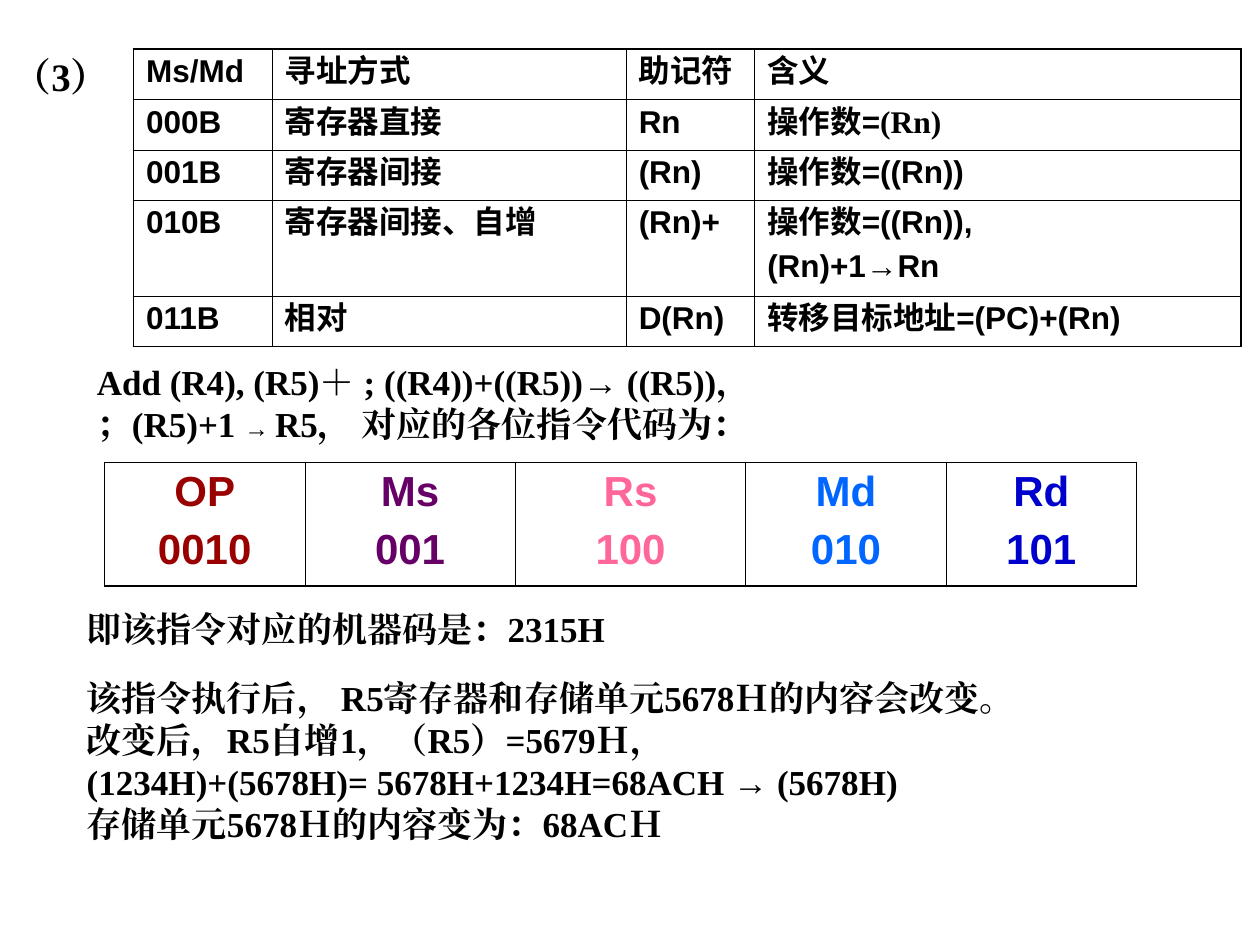
from dataclasses import dataclass

from lxml import etree
from pptx import Presentation
from pptx import util as u
from pptx.dml.color import RGBColor
from pptx.enum import text
from pptx.oxml.ns import qn


@dataclass(frozen=True)
class Theme:
    serif: str = "Times New Roman"
    sans: str = "Arial"
    ink: str = "000000"
    paper: str = "FFFFFF"
    fields: tuple = ("990000", "660066", "FF6699", "0066FF", "0000CC")
    number_size: float = 22.2
    body_size: float = 20
    arrow_size: float = 14
    table_size: float = 18
    code_size: float = 24
    thick: float = 1.08
    thin: float = 0.45


def add_text(p, value, *, font, size, color):
    """Append one bold run to a paragraph."""
    r = p.add_run()
    r.text = value
    r.font.name, r.font.size, r.font.bold = font, u.Pt(size), True
    r.font.color.rgb = RGBColor.from_string(color)
    for tag in ("a:ea", "a:cs"):
        etree.SubElement(r._r.get_or_add_rPr(), qn(tag), typeface=font)


class Builder:
    def __init__(self, s, theme):
        self.s, self.t = s, theme

    def fill_frame(self, tf, paragraphs, before=0, align=None, **fmt):
        """Each paragraph is a string or a list of (string, overrides)."""
        for i, runs in enumerate(paragraphs):
            p = tf.add_paragraph() if i else tf.paragraphs[0]
            p.space_before = u.Pt(before if i else 0)
            p.alignment = align
            for value, extra in [(runs, {})] if isinstance(runs, str) else runs:
                add_text(p, value, **{**fmt, "color": self.t.ink, **fmt, **extra})

    def body(self, x, y, w, h, value):
        sp = self.s.placeholders[1]
        sp.left, sp.top, sp.width, sp.height = map(u.Inches, (x, y, w, h))
        p = sp.text_frame.paragraphs[0]
        pPr = p._p.get_or_add_pPr()
        pPr.set("marL", str(u.Inches(0.38)))
        pPr.set("indent", str(-u.Inches(0.38)))
        etree.SubElement(pPr, qn("a:buNone"))
        p.line_spacing = 0.8
        sp.text_frame.auto_size = text.MSO_AUTO_SIZE.NONE
        self.fill_frame(sp.text_frame, [value], font=self.t.serif, size=self.t.number_size)

    def note(self, x, y, w, h, paragraphs):
        tf = self.s.shapes.add_textbox(*map(u.Inches, (x, y, w, h))).text_frame
        tf.word_wrap = True
        tf.auto_size = text.MSO_AUTO_SIZE.SHAPE_TO_FIT_TEXT
        self.fill_frame(tf, paragraphs, font=self.t.serif, size=self.t.body_size)

    def borders(self, cell, outer):
        """Thick lines on outer sides, thin ones inside."""
        tcPr = cell._tc.get_or_add_tcPr()
        for i, side in enumerate("LRTB"):
            width = self.t.thick if side in outer else self.t.thin
            ln = etree.Element(qn(f"a:ln{side}"), w=str(u.Pt(width)))
            fill = etree.SubElement(ln, qn("a:solidFill"))
            etree.SubElement(fill, qn("a:srgbClr"), val=self.t.ink)
            tcPr.insert(i, ln)

    def table(self, x, y, cols, heights, rows, margins=(0.05, 0.05), colors=None, **fmt):
        size = sum(cols), sum(heights)
        tbl = self.s.shapes.add_table(
            len(rows), len(cols), *map(u.Inches, (x, y, *size))).table
        tbl.first_row = tbl.horz_banding = False
        for col, w in zip(tbl.columns, cols):
            col.width = u.Inches(w)
        for i, (row, h) in enumerate(zip(rows, heights)):
            tbl.rows[i].height = u.Inches(h)
            for j, paragraphs in enumerate(row):
                cell = tbl.cell(i, j)
                cell.margin_top, cell.margin_bottom = map(u.Inches, margins)
                cell.fill.solid()
                cell.fill.fore_color.rgb = RGBColor.from_string(self.t.paper)
                edges = {"L": j == 0, "R": j == len(cols) - 1,
                         "T": i == 0, "B": i == len(rows) - 1}
                self.borders(cell, [k for k, on in edges.items() if on])
                color = colors[j] if colors else self.t.ink
                self.fill_frame(cell.text_frame, paragraphs,
                                font=self.t.sans, color=color, **fmt)


def main():
    theme = Theme()
    prs = Presentation()
    prs.slide_width, prs.slide_height = u.Inches(10), u.Inches(7.5)
    s = prs.slides.add_slide(prs.slide_layouts[1])
    title = s.shapes.title._element
    title.getparent().remove(title)
    b = Builder(s, theme)

    # Item number
    b.body(0, 0.44, 1.18, 0.47, "（3）")

    # Instruction code fields
    fields = [("OP", "0010"), ("Ms", "001"), ("Rs", "100"), ("Md", "010"), ("Rd", "101")]
    b.table(0.83, 3.67, [1.59, 1.67, 1.83, 1.59, 1.51], [0.98], [fields],
            colors=theme.fields, size=theme.code_size, before=6,
            align=text.PP_ALIGN.CENTER)

    # Instruction and its explanation
    b.note(0.67, 2.81, 8.9, 0.77, [
        "Add (R4), (R5)＋ ; ((R4))+((R5))→ ((R5))，",
        [("；(R5)+1 ", {}), ("→ ", {"size": theme.arrow_size}),
         ("R5， 对应的各位指令代码为：", {})],
    ])
    b.note(0.59, 4.77, 8.9, 0.44, ["即该指令对应的机器码是：2315H"])
    b.note(0.59, 5.32, 8.9, 1.44, [
        "该指令执行后， R5寄存器和存储单元5678Ｈ的内容会改变。",
        "改变后，R5自增1，（R5）=5679Ｈ，",
        "(1234H)+(5678H)= 5678H+1234H=68ACH → (5678H)",
        "存储单元5678Ｈ的内容变为：68ACＨ",
    ])

    # Addressing modes
    modes = [
        (["Ms/Md"], ["寻址方式"], ["助记符"], ["含义"]),
        (["000B"], ["寄存器直接"], ["Rn"],
         [[("操作数=", {}), ("(Rn)", {"font": theme.serif})]]),
        (["001B"], ["寄存器间接"], ["(Rn)"], ["操作数=((Rn))"]),
        (["010B"], ["寄存器间接、自增"], ["(Rn)+"], ["操作数=((Rn)),", "(Rn)+1→Rn"]),
        (["011B"], ["相对"], ["D(Rn)"], ["转移目标地址=(PC)+(Rn)"]),
    ]
    b.table(1.06, 0.39, [1.1, 2.81, 1.02, 3.86], [0.4, 0.4, 0.4, 0.76, 0.4], modes,
            margins=(0.04, 0), size=theme.table_size, before=4.5)

    prs.save("out.pptx")


if __name__ == "__main__":
    main()
